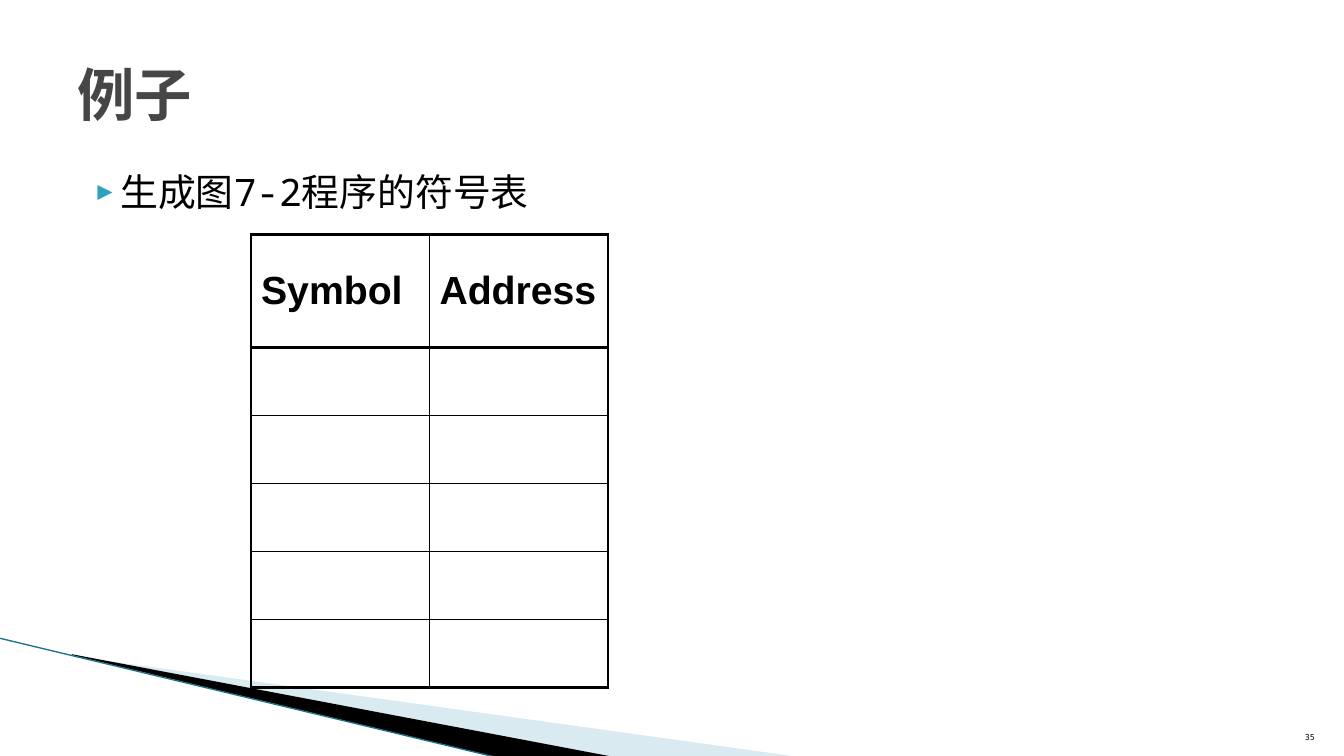
from pptx import Presentation
from pptx.dml.color import RGBColor as RGB
from pptx.enum.text import MSO_ANCHOR as Anchor, PP_ALIGN as Align
from pptx.oxml.ns import qn
from pptx.util import Inches, Pt
from lxml.etree import SubElement as Sub

MONO = "Noto Sans Mono"


def tint(code):
    """Turn a hex string into a colour."""
    return RGB.from_string(code)


def write(frame, text, size, font=MONO, color="000000", bold=False,
          align=Align.LEFT, anchor=Anchor.TOP):
    """Put one formatted paragraph into a text frame and return it."""
    frame.word_wrap = True
    frame.vertical_anchor = anchor
    para = frame.paragraphs[0]
    para.alignment = align
    run = para.add_run()
    run.text = text
    run.font.size = Pt(size)
    run.font.name = font
    run.font.bold = bold
    run.font.color.rgb = tint(color)
    Sub(run.font._element, qn("a:ea"), typeface=font)
    return para


def add_box(slide, box):
    """Add a text box and return its frame."""
    return slide.shapes.add_textbox(*map(Inches, box)).text_frame


def add_bullet(para, color, indent, hang):
    """Give a paragraph a coloured triangle bullet."""
    props = para._p.get_or_add_pPr()
    props.set("marL", str(Inches(indent)))
    props.set("indent", str(-Inches(hang)))
    Sub(Sub(props, qn("a:buClr")), qn("a:srgbClr"), val=color)
    Sub(props, qn("a:buSzPct"), val="68000")
    Sub(props, qn("a:buFont"), typeface=MONO)
    Sub(props, qn("a:buChar"), char="▶")


def add_wedge(slide, points, color, alpha=100):
    """Draw a filled outline without a border."""
    first, *rest = [(Inches(x), Inches(y)) for x, y in points]
    pen = slide.shapes.build_freeform(*first)
    pen.add_line_segments(rest, close=True)
    shape = pen.convert_to_shape()
    shape.shadow.inherit = False
    shape.fill.solid()
    shape.fill.fore_color.rgb = tint(color)
    shape.line.fill.background()
    if alpha < 100:
        fill = shape._element.spPr.find(qn("a:solidFill"))
        Sub(fill[0], qn("a:alpha"), val=str(alpha * 1000))


def add_decor(slide, left, top):
    """Draw the wedges and the line of the bottom corner."""
    def place(*points):
        return [(left + x, top + y) for x, y in points]

    add_wedge(slide, place((0.02, 0.02), (7.22, 1.02), (5.37, 1.02), (0.02, 0.01)),
              "A0CBDC", 40)
    add_wedge(slide, place((0, 0), (5.38, 1.02), (4.25, 1.03), (0.01, 0.01)), "000000")
    (x1, y1), (x2, y2) = place((-0.72, -0.16), (4.24, 1.03))
    line = slide.shapes.add_connector(1, *map(Inches, (x1, y1, x2, y2)))
    line.line.color.rgb = tint("1F7388")
    line.line.width = Pt(0.95)
    Sub(line._element.spPr, qn("a:effectLst"))


def set_edges(cell, widths):
    """Draw the left, right, top and bottom borders of a cell."""
    props = cell._tc.get_or_add_tcPr()
    for spot, (side, width) in enumerate(zip("LRTB", widths)):
        edge = props.makeelement(qn(f"a:ln{side}"), {"w": str(Pt(width))})
        Sub(Sub(edge, qn("a:solidFill")), qn("a:srgbClr"), val="000000")
        props.insert(spot, edge)


def add_grid(slide, box, heads, count, head_tall):
    """Add the symbol table with a heading and empty rows."""
    wide, tall = box[2:]
    table = slide.shapes.add_table(count + 1, len(heads), *map(Inches, box)).table
    table.first_row = table.horz_banding = False
    for col in table.columns:
        col.width = Inches(wide / len(heads))
    for r, row in enumerate(table.rows):
        row.height = Inches((tall - head_tall) / count if r else head_tall)
        for c, cell in enumerate(row.cells):
            cell.fill.background()
            thick = (c == 0, c == len(heads) - 1, r < 2, r in (0, count))
            set_edges(cell, [2.25 if flag else 1 for flag in thick])
            if r == 0:
                write(cell.text_frame, heads[c], 28, font="Arial", bold=True)
                cell.vertical_anchor = Anchor.MIDDLE


def add_body(slide, box):
    """Add the bulleted sentence."""
    para = write(add_box(slide, box), "生成图7-2程序的符号表", 27)
    add_bullet(para, "2DA2BF", 0.4, 0.28)


def main():
    """Build and save the slide."""
    deck = Presentation()
    deck.slide_width, deck.slide_height = Inches(13.33), Inches(7.5)
    slide = deck.slides.add_slide(deck.slide_layouts[6])
    add_decor(slide, 0.71, 6.49)
    add_body(slide, (0.67, 1.62, 12, 4.95))
    write(add_box(slide, (0.67, 0.3, 12, 1.25)), "例子", 41, color="464646",
          bold=True, anchor=Anchor.MIDDLE)
    add_grid(slide, (2.49, 2.33, 3.54, 4.49), ("Symbol", "Address"), 5, 1.12)
    write(add_box(slide, (12.61, 7.01, 0.53, 0.4)), "35", 6,
          align=Align.RIGHT, anchor=Anchor.BOTTOM)
    deck.save("out.pptx")


if __name__ == "__main__":
    main()
